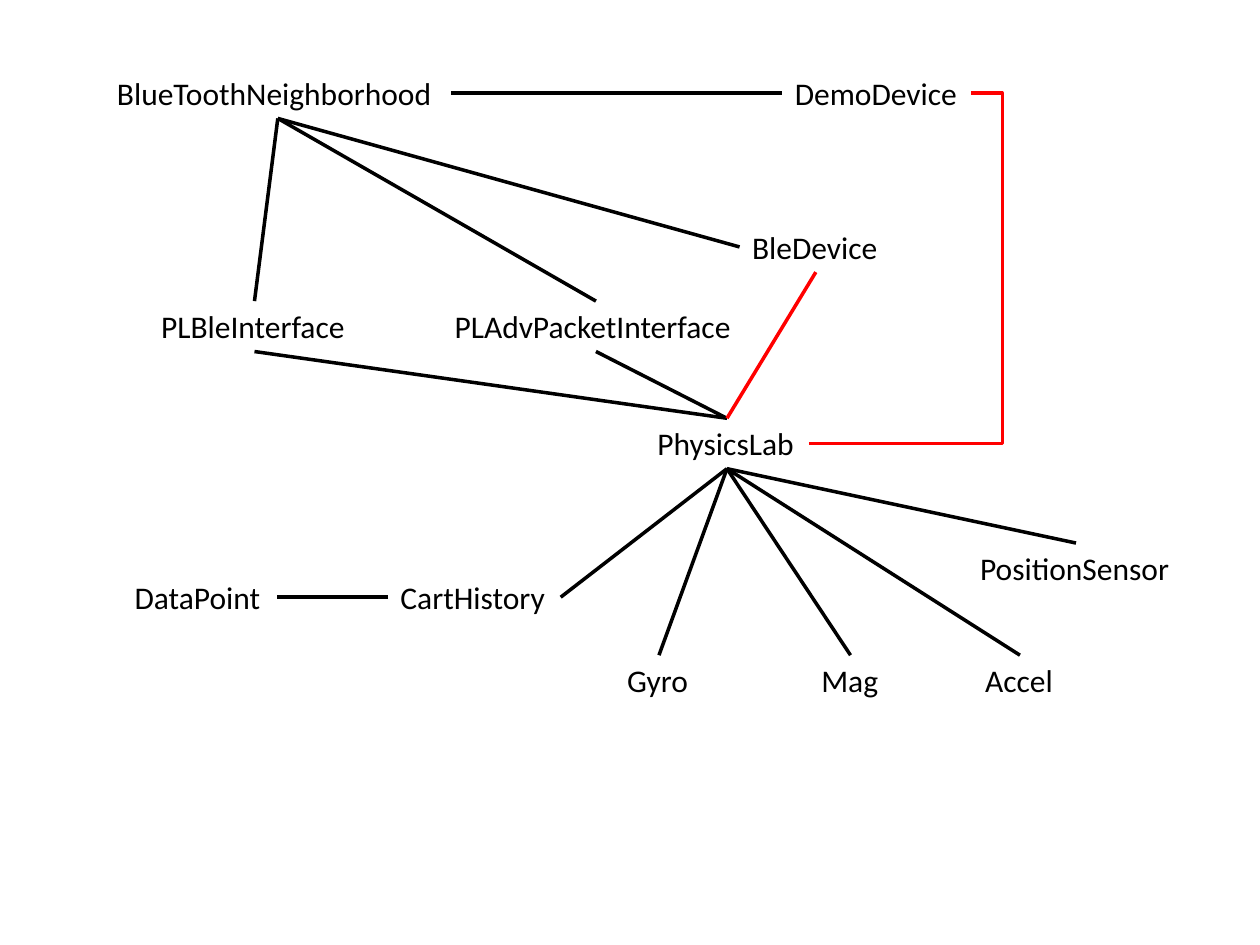
import pptx
import pptx.util
import pptx.dml.color
import pptx.enum.shapes
import pptx.enum.text
import pptx.oxml.ns
from dataclasses import dataclass
from lxml import etree

Kind = pptx.enum.shapes.MSO_CONNECTOR
TOP, LEFT, BASE, RIGHT = range(4)
COLS, ROWS, HIGH = 100, 75, 4


@dataclass(frozen=True)
class Theme:
    """Colours, font and sizes of the slide."""
    ink: str = "000000"
    hot: str = "FF0000"
    font: str = "Calibri"
    size: int = 18
    line: int = 2


THEME = Theme()

# name: column, row, columns wide
NODES = {
    "PLBleInterface": (11.8, 23.9, 16.8),
    "BlueToothNeighborhood": (8.3, 5.4, 27.5),
    "PhysicsLab": (51.2, 33.2, 13),
    "BleDevice": (58.7, 17.6, 12.1),
    "PLAdvPacketInterface": (35.1, 23.9, 24.4),
    "CartHistory": (30.8, 45.4, 13.7),
    "DemoDevice": (62.1, 5.4, 15),
    "Gyro": (48.8, 52, 7),
    "Mag": (64.2, 52, 6.6),
    "Accel": (77.2, 52, 7.5),
    "PositionSensor": (76.8, 43.1, 17.2),
    "DataPoint": (9.7, 45.4, 12.3),
}

# start, its side, end, its side
LINKS = [
    ("CartHistory", LEFT, "DataPoint", RIGHT),
    *[("PhysicsLab", BASE, part, TOP)
      for part in ("Gyro", "Mag", "PositionSensor", "Accel")],
    ("PhysicsLab", BASE, "CartHistory", RIGHT),
    ("PLBleInterface", BASE, "PhysicsLab", TOP),
    ("PLAdvPacketInterface", BASE, "PhysicsLab", TOP),
    ("BlueToothNeighborhood", RIGHT, "DemoDevice", LEFT),
    ("BleDevice", LEFT, "BlueToothNeighborhood", BASE),
    ("BlueToothNeighborhood", BASE, "PLBleInterface", TOP),
    ("BlueToothNeighborhood", BASE, "PLAdvPacketInterface", TOP),
]


def write(frame, text, size=THEME.size, font=THEME.font, color=THEME.ink):
    """Put formatted text in a frame that grows to fit it."""
    frame.word_wrap = False
    frame.auto_size = pptx.enum.text.MSO_AUTO_SIZE.SHAPE_TO_FIT_TEXT
    run = frame.paragraphs[0].add_run()
    run.text = text
    run.font.size = pptx.util.Pt(size)
    run.font.name = font
    run.font.color.rgb = pptx.dml.color.RGBColor.from_string(color)


def link(shapes, start, out, end, into, color=THEME.ink, bend=None):
    """Join the sides of two boxes; bend is the elbow's share of the width."""
    kind = Kind.STRAIGHT if bend is None else Kind.ELBOW
    line = shapes.add_connector(kind, 0, 0, 0, 0)
    line.begin_connect(start, out)
    line.end_connect(end, into)
    line.line.color.rgb = pptx.dml.color.RGBColor.from_string(color)
    line.line.width = pptx.util.Pt(THEME.line)
    qn = pptx.oxml.ns.qn
    props = line.element.spPr
    etree.SubElement(props, qn("a:effectLst"))
    if bend is not None:
        geom = props.find(qn("a:prstGeom"))
        guides = geom.find(qn("a:avLst"))
        if guides is None:
            guides = etree.SubElement(geom, qn("a:avLst"))
        etree.SubElement(guides, qn("a:gd"), name="adj1",
                         fmla=f"val {round(bend * 100000)}")


def graph(slide, left, top, width, height):
    """Draw the class names and their links inside the given box."""
    col, row = width / COLS, height / ROWS
    boxes = {}
    for name, (x, y, wide) in NODES.items():
        box = slide.shapes.add_textbox(
            round(left + x * col), round(top + y * row),
            round(wide * col), round(HIGH * row))
        write(box.text_frame, name)
        boxes[name] = box
    for start, out, end, into in LINKS:
        link(slide.shapes, boxes[start], out, boxes[end], into)
    lab = boxes["PhysicsLab"]
    link(slide.shapes, boxes["BleDevice"], BASE, lab, TOP, color=THEME.hot)
    link(slide.shapes, lab, RIGHT, boxes["DemoDevice"], RIGHT,
         color=THEME.hot, bend=1.19)


def main():
    """Build and save the deck."""
    deck = pptx.Presentation()
    deck.slide_width = pptx.util.Inches(10)
    deck.slide_height = pptx.util.Inches(7.5)
    slide = deck.slides.add_slide(deck.slide_layouts.get_by_name("Blank"))
    graph(slide, 0, 0, deck.slide_width, deck.slide_height)
    deck.save("out.pptx")


main()
